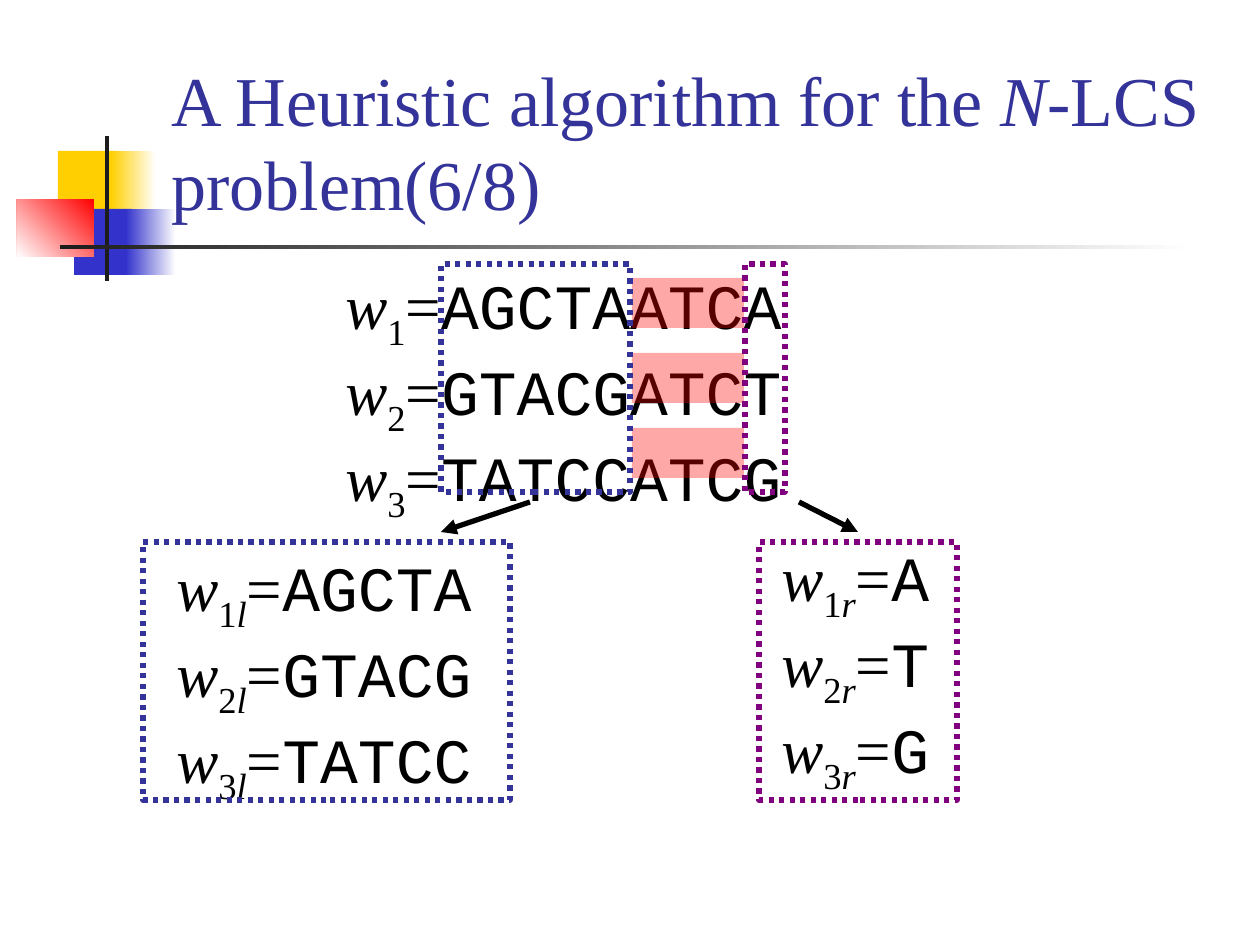
from lxml.etree import SubElement
from pptx import Presentation
from pptx.dml.color import RGBColor
from pptx.enum.dml import MSO_LINE
from pptx.enum.shapes import MSO_CONNECTOR, MSO_SHAPE
from pptx.enum.text import MSO_ANCHOR, MSO_AUTO_SIZE, PP_ALIGN
from pptx.oxml.ns import qn
from pptx.util import Pt

PX = 914400 // 126
SERIF, MONO = "Times New Roman", "Courier New"
NAVY, PURPLE, BLACK = "333399", "800080", "000000"
BLUE, YELLOW, RED, WHITE, CHARCOAL = "3333CC", "FFCF01", "FF0000", "FFFFFF", "1C1C1C"


def paint(fill, *colors):
    """Fill solidly with one color, or with a gradient between two."""
    if len(colors) == 1:
        fill.solid()
        fill.fore_color.rgb = RGBColor.from_string(colors[0])
    else:
        fill.gradient()
        for stop, color in zip(fill.gradient_stops, colors):
            stop.color.rgb = RGBColor.from_string(color)


def add_run(paragraph, text, size=36, font=SERIF, color=BLACK, italic=False, subscript=False):
    run = paragraph.add_run()
    run.text = text
    run.font.size = Pt(size)
    run.font.name = font
    run.font.italic = italic
    paint(run.font.fill, color)
    if subscript:
        run.font._element.set("baseline", "-25000")


prs = Presentation()
prs.slide_width, prs.slide_height = 1260 * PX, 945 * PX
slide = prs.slides.add_slide(prs.slide_layouts[5])
shapes = slide.shapes

# Corner squares and crossing rules: box, colors, gradient angle
ornaments = [
    ((58, 151, 60, 66), [YELLOW], None),
    ((111, 151, 45, 66), [WHITE, YELLOW], 180),
    ((74, 209, 58, 66), [BLUE], None),
    ((126, 209, 50, 66), [WHITE, BLUE], 180),
    ((17, 199, 77, 58), [RED, WHITE], 225),
    ((105, 136, 4, 145), [CHARCOAL], None),
    ((60, 245, 1134, 4), [WHITE, CHARCOAL], 180),
]
for box, colors, angle in ornaments:
    ornament = shapes.add_shape(MSO_SHAPE.RECTANGLE, *(v * PX for v in box))
    paint(ornament.fill, *colors)
    if angle:
        ornament.fill.gradient_angle = angle
    ornament.line.fill.background()
    ornament.shadow.inherit = False

# Title, brought in front of the ornaments
title = shapes.title
title.left, title.top, title.width, title.height = (v * PX for v in (159, 29, 1073, 202))
shapes._spTree.append(title._element)
title.text_frame.auto_size = MSO_AUTO_SIZE.NONE
title.text_frame.vertical_anchor = MSO_ANCHOR.BOTTOM
heading = title.text_frame.paragraphs[0]
heading.alignment = PP_ALIGN.LEFT
heading.line_spacing = Pt(48)
add_run(heading, "A Heuristic algorithm for the ", size=40, color=NAVY)
add_run(heading, "N", size=40, color=NAVY, italic=True)
add_run(heading, "-LCS problem(6/8)", size=40, color=NAVY)

# Whole sequences, then their left and right remainders
sequence_groups = [
    ((333, 260, 630, 271), "", ["AGCTAATCA", "GTACGATCT", "TATCCATCG"]),
    ((164, 542, 358, 271), "l", ["AGCTA", "GTACG", "TATCC"]),
    ((769, 532, 358, 271), "r", ["A", "T", "G"]),
]
for box, side, sequences in sequence_groups:
    frame = shapes.add_textbox(*(v * PX for v in box)).text_frame
    frame.word_wrap = True
    for number, sequence in enumerate(sequences, 1):
        row = frame.paragraphs[0] if number == 1 else frame.add_paragraph()
        row.line_spacing = Pt(49.2)
        add_run(row, "w", italic=True)
        add_run(row, str(number), subscript=True)
        if side:
            add_run(row, side, italic=True, subscript=True)
        add_run(row, "=")
        add_run(row, sequence, font=MONO)

# Translucent marks over the common ATC
for index in range(3):
    mark = shapes.add_shape(MSO_SHAPE.RECTANGLE, 632 * PX, (278 + 75 * index) * PX, 112 * PX, 50 * PX)
    paint(mark.fill, RED)
    SubElement(mark._element.spPr.find(".//" + qn("a:srgbClr")), qn("a:alpha"), val="34000")
    mark.line.fill.background()
    mark.shadow.inherit = False

# Dotted frames around each part and its remainder
dotted_frames = [
    ((441, 264, 189, 228), NAVY),
    ((745, 264, 40, 228), PURPLE),
    ((143, 542, 367, 258), NAVY),
    ((759, 542, 198, 258), PURPLE),
]
for box, color in dotted_frames:
    outline = shapes.add_shape(MSO_SHAPE.RECTANGLE, *(v * PX for v in box))
    outline.fill.background()
    paint(outline.line.fill, color)
    outline.line.width = Pt(3)
    outline.line.dash_style = MSO_LINE.ROUND_DOT
    outline.shadow.inherit = False

# Arrows from each part down to its remainder
for ends in [(530, 502, 441, 532), (799, 502, 858, 532)]:
    arrow = shapes.add_connector(MSO_CONNECTOR.STRAIGHT, *(v * PX for v in ends))
    paint(arrow.line.fill, BLACK)
    arrow.line.width = Pt(3)
    SubElement(arrow.line._get_or_add_ln(), qn("a:tailEnd"), type="triangle")
    SubElement(arrow._element.spPr, qn("a:effectLst"))

prs.save("out.pptx")
